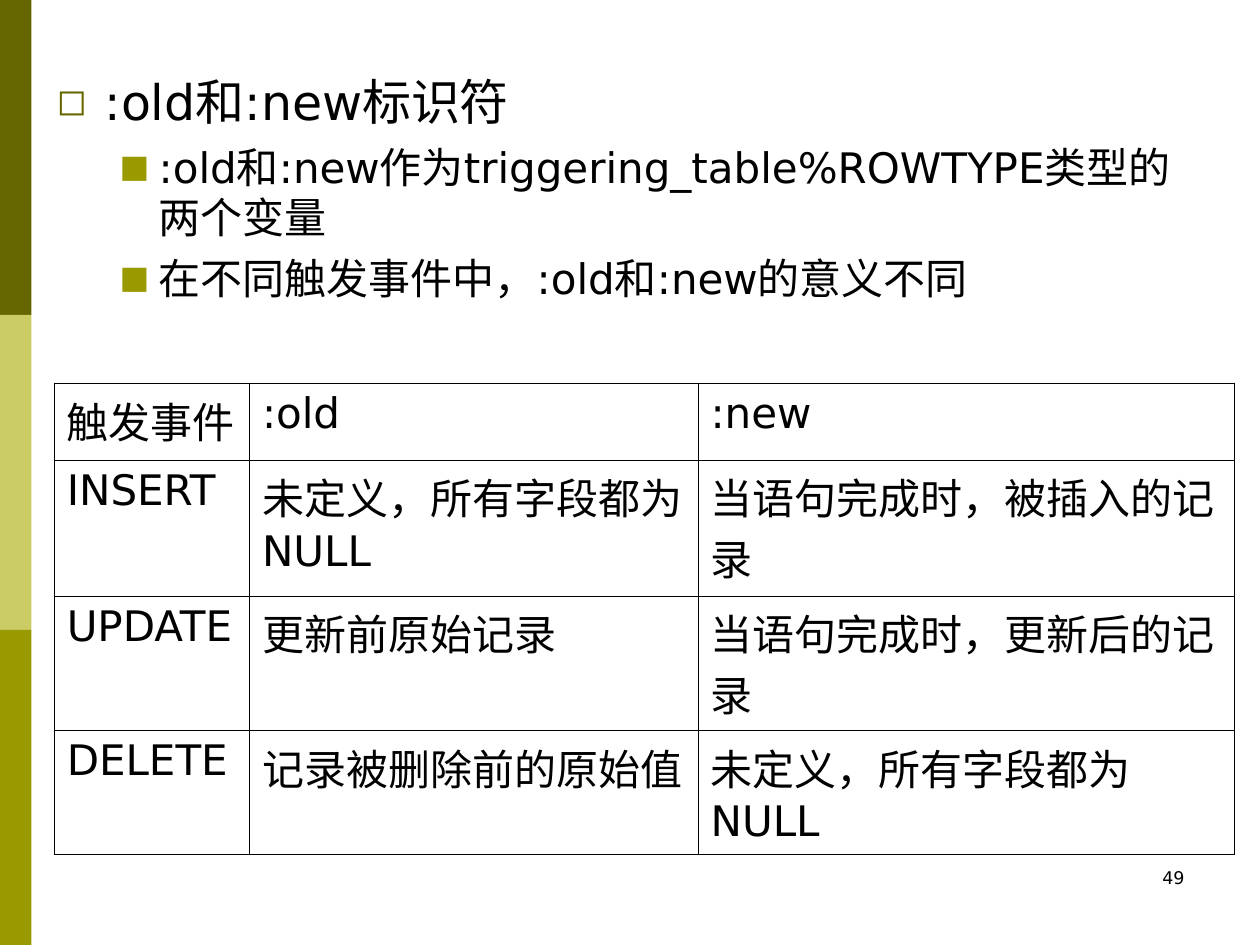
from lxml import etree
from pptx import Presentation
from pptx.dml.color import RGBColor
from pptx.enum.shapes import MSO_SHAPE
from pptx.enum.text import MSO_AUTO_SIZE, PP_ALIGN
from pptx.oxml.ns import qn
from pptx.util import Inches, Pt

RECT = MSO_SHAPE.RECTANGLE
FIT = MSO_AUTO_SIZE.TEXT_TO_FIT_SHAPE
RIGHT = PP_ALIGN.RIGHT

BLACK = RGBColor(0x00, 0x00, 0x00)
DARK = RGBColor(0x66, 0x66, 0x00)
PALE = RGBColor(0xCC, 0xCC, 0x66)
OLIVE = RGBColor(0x99, 0x99, 0x00)

# Level: size, left indent, hanging indent, bullet, bullet colour
LEVELS = [
    (28, 0.38, 0.38, "◻", DARK),
    (24, 0.81, 0.31, "■", OLIVE),
]
POINTS = [
    (0, ":old和:new标识符"),
    (1, ":old和:new作为triggering_table%ROWTYPE类型的两个变量"),
    (1, "在不同触发事件中，:old和:new的意义不同"),
]
EVENTS = [
    ("触发事件", ":old", ":new"),
    ("INSERT", "未定义，所有字段都为NULL", "当语句完成时，被插入的记录"),
    ("UPDATE", "更新前原始记录", "当语句完成时，更新后的记录"),
    ("DELETE", "记录被删除前的原始值", "未定义，所有字段都为NULL"),
]


def box(*sides):
    return [Inches(side) for side in sides]


class Page:
    face = "DejaVu Sans"
    rule = Pt(0.45)

    def __init__(self, deck):
        self.slide = deck.slides.add_slide(deck.slide_layouts[1])
        title = self.slide.shapes.title.element
        title.getparent().remove(title)

    def style(self, para, size):
        font = para.font
        font.name, font.size = self.face, Pt(size)
        font.color.rgb = BLACK

    def band(self, top, height, color):
        bar = self.slide.shapes.add_shape(RECT, *box(0, top, 0.25, height))
        bar.shadow.inherit = False
        bar.fill.solid()
        bar.fill.fore_color.rgb = color
        bar.line.fill.background()

    def bullet(self, para, level):
        size, left, hang, mark, color = LEVELS[level]
        para.level = level
        props = para._p.get_or_add_pPr()
        props.set("marL", str(Inches(left)))
        props.set("indent", str(-Inches(hang)))
        tint = etree.SubElement(props, qn("a:buClr"))
        etree.SubElement(tint, qn("a:srgbClr"), val=str(color))
        etree.SubElement(props, qn("a:buSzPct"), val="75000")
        etree.SubElement(props, qn("a:buFont"), typeface=self.face)
        etree.SubElement(props, qn("a:buChar"), char=mark)
        self.style(para, size)

    def body(self, points, *place):
        holder = self.slide.placeholders[1]
        holder.left, holder.top, holder.width, holder.height = box(*place)
        frame = holder.text_frame
        frame.auto_size = FIT
        for i, (level, text) in enumerate(points):
            para = frame.add_paragraph() if i else frame.paragraphs[0]
            para.text = text
            para.space_before = Pt(6 if i else 0)
            self.bullet(para, level)

    def border(self, cell):
        props = cell._tc.get_or_add_tcPr()
        for i, side in enumerate(("lnL", "lnR", "lnT", "lnB")):
            line = etree.Element(qn(f"a:{side}"), w=str(self.rule))
            fill = etree.SubElement(line, qn("a:solidFill"))
            etree.SubElement(fill, qn("a:srgbClr"), val=str(BLACK))
            props.insert(i, line)

    def table(self, rows, left, top, widths, heights):
        place = box(left, top, sum(widths), sum(heights))
        grid = self.slide.shapes.add_table(len(rows), len(widths), *place).table
        grid.first_row = grid.horz_banding = False
        for col, width in zip(grid.columns, widths):
            col.width = Inches(width)
        for row, height, texts in zip(grid.rows, heights, rows):
            row.height = Inches(height)
            for cell, text in zip(row.cells, texts):
                cell.text = text
                cell.fill.background()
                self.border(cell)
                self.style(cell.text_frame.paragraphs[0], 24)

    def number(self, text, *place):
        frame = self.slide.shapes.add_textbox(*box(*place)).text_frame
        frame.word_wrap = True
        para = frame.paragraphs[0]
        para.text = text
        para.alignment = RIGHT
        self.style(para, 10)


def main():
    deck = Presentation()
    deck.slide_width, deck.slide_height = box(10, 7.5)
    page = Page(deck)

    # Side stripe
    for i, color in enumerate((DARK, PALE, OLIVE)):
        page.band(2.5 * i, 2.5, color)

    # Points, event table and page number
    page.body(POINTS, 0.35, 0.52, 9.23, 2.13)
    page.table(EVENTS, 0.43, 3.04, (1.55, 3.56, 4.26), (0.61, 1.08, 0.9, 0.98))
    page.number("49", 7.17, 6.83, 2.33, 0.5)

    deck.save("out.pptx")


if __name__ == "__main__":
    main()
